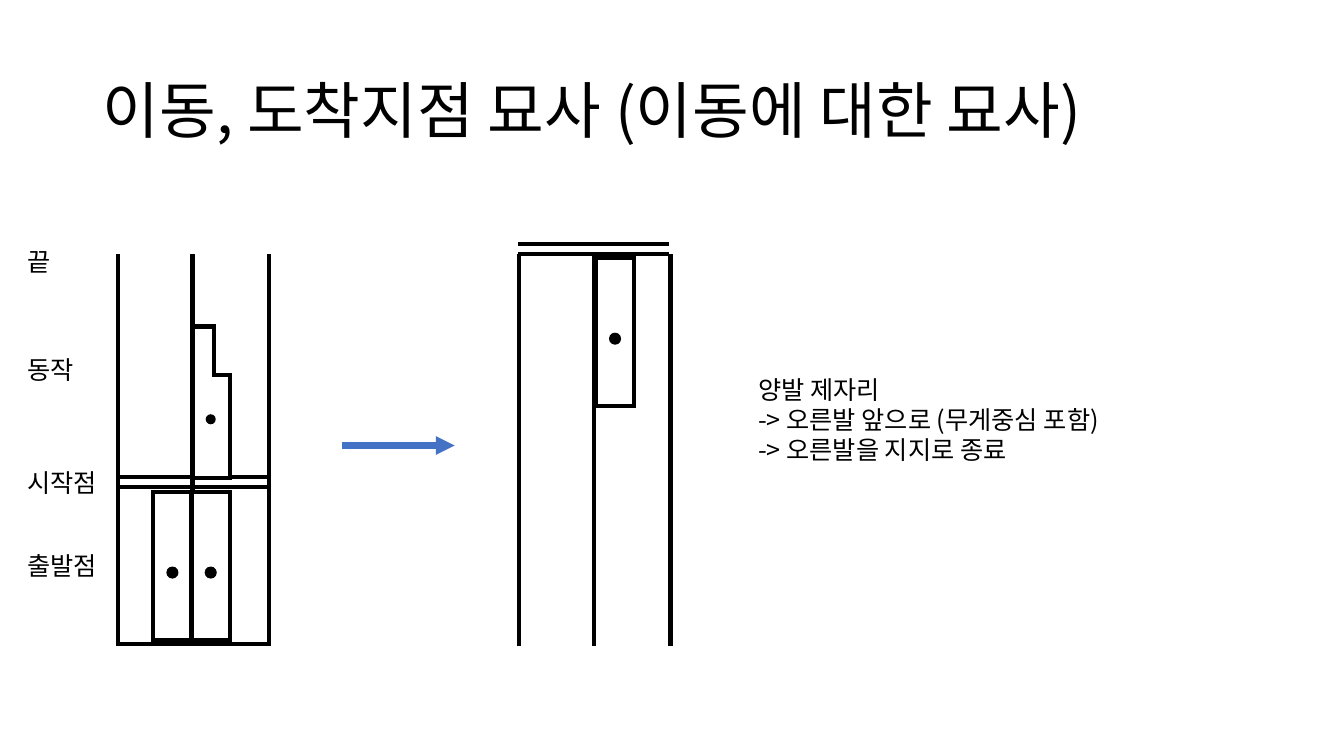
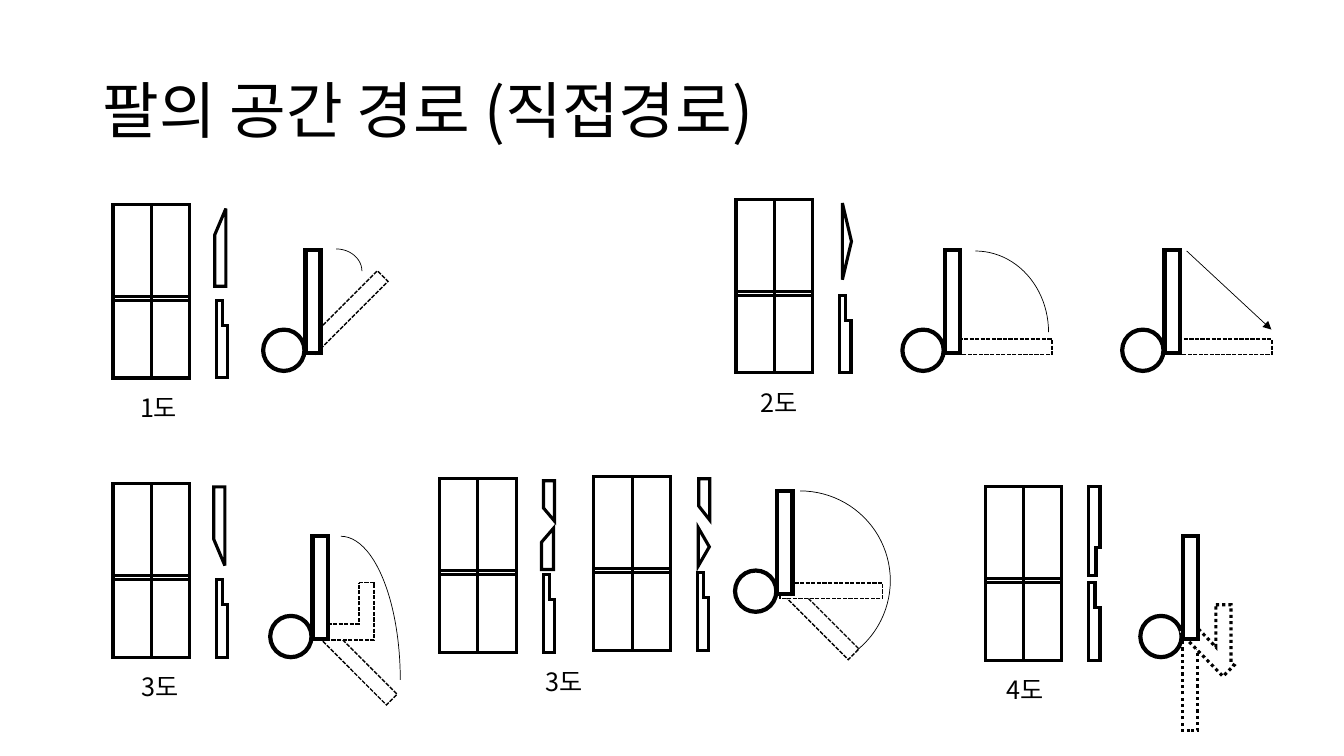
from lxml.etree import SubElement
from pptx import Presentation
from pptx.dml.color import RGBColor
from pptx.enum.dml import MSO_LINE as Dash
from pptx.enum.shapes import MSO_CONNECTOR as Link, MSO_SHAPE as Kind
from pptx.enum.text import MSO_ANCHOR as Anchor
from pptx.oxml.ns import qn
from pptx.util import Pt

SCALE = 9144  # EMU in one px
FONT = "Noto Sans CJK KR"
COLORS = {"ink": "000000", "paper": "FFFFFF", "arrow": "4472C4"}
THICK, SIGN, GHOST, THIN = 3, 2.25, 1, 0.5


def px(*lengths):
    return [length * SCALE for length in lengths]


def color(name):
    return RGBColor.from_string(COLORS[name])


# Shared drawing parts
def style(shape, width, dash=None, fill="paper"):
    shape.shadow.inherit = False
    if fill:
        shape.fill.solid()
        shape.fill.fore_color.rgb = color(fill)
    else:
        shape.fill.background()
    if not width:
        shape.line.fill.background()
        return
    shape.line.color.rgb = color("ink")
    shape.line.width = Pt(width)
    if dash:
        shape.line.dash_style = dash
    SubElement(shape.line._get_or_add_ln(), qn("a:miter"), lim="800000")


def add_preset(page, kind, box, width, dash=None, fill="paper", turn=0):
    shape = page.shapes.add_shape(kind, *px(*box))
    shape.rotation = turn
    style(shape, width, dash, fill)
    return shape


def add_outline(page, points, width, dash=None):
    builder = page.shapes.build_freeform(*points[0], scale=SCALE)
    builder.add_line_segments(points[1:], close=True)
    style(builder.convert_to_shape(), width, dash)


def add_line(page, start, end, width=THICK, ink="ink", arrow=False):
    line = page.shapes.add_connector(Link.STRAIGHT, *px(*start, *end))
    line.line.color.rgb = color(ink)
    line.line.width = Pt(width)
    if arrow:
        SubElement(line.line._get_or_add_ln(), qn("a:tailEnd"), type="triangle")
    SubElement(line._element.spPr, qn("a:effectLst"))


def add_text(page, box, lines, size=18, anchor=Anchor.TOP, spacing=None):
    frame = page.shapes.add_textbox(*px(*box)).text_frame
    frame.word_wrap = True
    frame.vertical_anchor = anchor
    for index, words in enumerate(lines):
        para = frame.paragraphs[0] if index == 0 else frame.add_paragraph()
        if spacing:
            para.line_spacing = spacing
        span = para.add_run()
        span.text = words
        span.font.name = FONT
        span.font.size = Pt(size)
        span.font.color.rgb = color("ink")
        SubElement(span.font._element, qn("a:ea"), typeface=FONT)


def new_page(deck, title):
    page = deck.slides.add_slide(deck.slide_layouts[6])
    add_text(page, (92, 40, 1150, 145), [title], 44, Anchor.MIDDLE, 0.9)
    return page


# Notation signs
def flipped(points, box, flip):
    left, top, wide, high = box
    return [(left + x, top + (high - y if flip else y)) for x, y in points]


def add_step(page, box, notch, width=SIGN, flip=False):
    wide, high = box[2:]
    x, y = notch
    points = [(x, 0), (0, 0), (0, high), (wide, high), (wide, y), (x, y)]
    add_outline(page, flipped(points, box, flip), width)


def add_slant(page, box, cut, flip=False):
    wide, high = box[2:]
    points = [(wide, 0), (0, cut), (0, high), (wide, high)]
    add_outline(page, flipped(points, box, flip), SIGN)


def add_dot(page, left, top, size=12):
    add_preset(page, Kind.OVAL, (left, top, size, size), None, fill="ink")


def add_foot(page, left, top):
    add_preset(page, Kind.RECTANGLE, (left, top, 38, 147), THICK)
    add_dot(page, left + 13, top + 74)


# Movement slide: start and arrival lanes
def add_lanes(page, left, top):
    for x in (74, 150, 0):
        add_line(page, (left + x, top + 389), (left + x, top))


def add_bars(page, left, *tops):
    for top in tops:
        add_line(page, (left, top), (left + 150, top))


def start_lanes(page, left, top):
    add_bars(page, left, top + 221, top + 231, top + 387)
    add_lanes(page, left, top)
    add_step(page, (left + 74, top + 72, 37, 150), (21, 48), THICK)
    add_dot(page, left + 87, top + 159, 10)
    for x in (73, 35):
        add_foot(page, left + x, top + 236)


def arrival_lanes(page, left, top):
    add_lanes(page, left, top)
    add_bars(page, left - 1, top - 10, top)
    add_foot(page, left + 76, top + 4)


def movement_slide(deck):
    page = new_page(deck, "이동, 도착지점 묘사 (이동에 대한 묘사)")
    start_lanes(page, 117, 252)
    for words, top in (("출발점", 541), ("시작점", 459), ("동작", 347), ("끝", 239)):
        add_text(page, (17, top, 96, 40), [words])
    arrival_lanes(page, 515, 252)
    add_line(page, (339, 442), (451, 442), 4.5, "arrow", True)
    add_text(page, (742, 366, 402, 101), [
        "양발 제자리", "-> 오른발 앞으로 (무게중심 포함)", "-> 오른발을 지지로 종료"])


# Arm path slide: staff, figure and one group for each degree
def add_staff(page, left, top, label=None, shift=0):
    for y, high in ((91, 81), (0, 91)):
        for x in (0, 38):
            add_preset(page, Kind.RECTANGLE, (left + x, top + y, 38, high), SIGN)
    add_line(page, (left, top + 95), (left + 76, top + 95), SIGN)
    add_step(page, (left + 103, top + 95, 11, 77), (6, 25))
    if label:
        add_text(page, (left + shift, top + 181, 59, 40), [label])


def add_figure(page, left, top, arms=(), bent=(), width=GHOST, dash=Dash.SQUARE_DOT):
    add_preset(page, Kind.OVAL, (left, top, 41, 41), THICK)
    for x, y, turn in arms:
        box = (left + x, top + y, 15, 102)
        add_preset(page, Kind.RECTANGLE, box, width, dash, turn=turn)
    if bent:
        add_outline(page, [(left + x, top + y) for x, y in bent], width, dash)
    add_preset(page, Kind.RECTANGLE, (left + 42, top - 79, 15, 102), THICK)


def add_path(page, box, angles=()):
    arc = add_preset(page, Kind.ARC, box, THIN, fill=None)
    for index, angle in enumerate(angles):
        arc.adjustments[index] = angle


def add_triangle(page, box):
    add_preset(page, Kind.ISOSCELES_TRIANGLE, box, SIGN, turn=90)


def degree_one(page, left, top):
    add_staff(page, left, top, "1도", 17)
    add_slant(page, (left + 101, top + 4, 11, 77), 26)
    add_figure(page, left + 149, top + 124, [(75, -68, 45)])
    add_path(page, (left + 196, top + 44, 51, 44))


def degree_two(page, left, top):
    add_staff(page, left, top, "2도", 14)
    add_triangle(page, (left + 72, top + 37, 76, 9))
    for x in (165, 383):
        add_figure(page, left + x, top + 129, [(90, -34, 90)])
    add_path(page, (left + 165, top + 51, 145, 161))
    add_line(page, (left + 447, top + 51), (left + 531, top + 129), THIN, arrow=True)


def degree_three(page, left, top):
    add_staff(page, left, top, "3도", 19)
    add_slant(page, (left + 100, top + 3, 11, 78), 26, flip=True)
    bent = [(88, -33), (103, -33), (103, 24), (44, 24), (44, 8), (88, 8)]
    add_figure(page, left + 156, top + 131, [(77, -4, 135)], bent)
    add_path(page, (left + 167, top + 52, 118, 285))


def degree_three_pair(page, left, top):
    add_staff(page, left, top, "3도", 95)
    add_slant(page, (left + 103, top + 2, 11, 40), 13, flip=True)
    add_slant(page, (left + 101, top + 49, 12, 41), 14)
    add_staff(page, left + 153, top - 2)
    add_slant(page, (left + 257, top, 11, 41), 14, flip=True)
    add_triangle(page, (left + 243, top + 62, 38, 11))
    add_figure(page, left + 293, top + 91, [(74, -4, 135), (88, -31, 90)])
    add_path(page, (left + 268, top + 12, 179, 178), (162, 30.57))


def degree_four(page, left, top):
    add_staff(page, left, top, "4도", 11)
    add_step(page, (left + 103, top, 11, 88), (7, 28), flip=True)
    bent = [(75, -11), (90, -11), (90, 47), (93, 49), (82, 60), (39, 16), (50, 5), (75, 31)]
    add_figure(page, left + 154, top + 128, [(42, 12, 0)], bent, SIGN, Dash.ROUND_DOT)


def arm_path_slide(deck):
    page = new_page(deck, "팔의 공간 경로 (직접경로)")
    degree_one(page, 112, 203)
    degree_two(page, 730, 198)
    degree_three(page, 112, 480)
    degree_three_pair(page, 436, 475)
    degree_four(page, 977, 483)


def main():
    deck = Presentation()
    deck.slide_width, deck.slide_height = px(1333, 750)
    movement_slide(deck)
    arm_path_slide(deck)
    deck.save("out.pptx")


if __name__ == "__main__":
    main()
